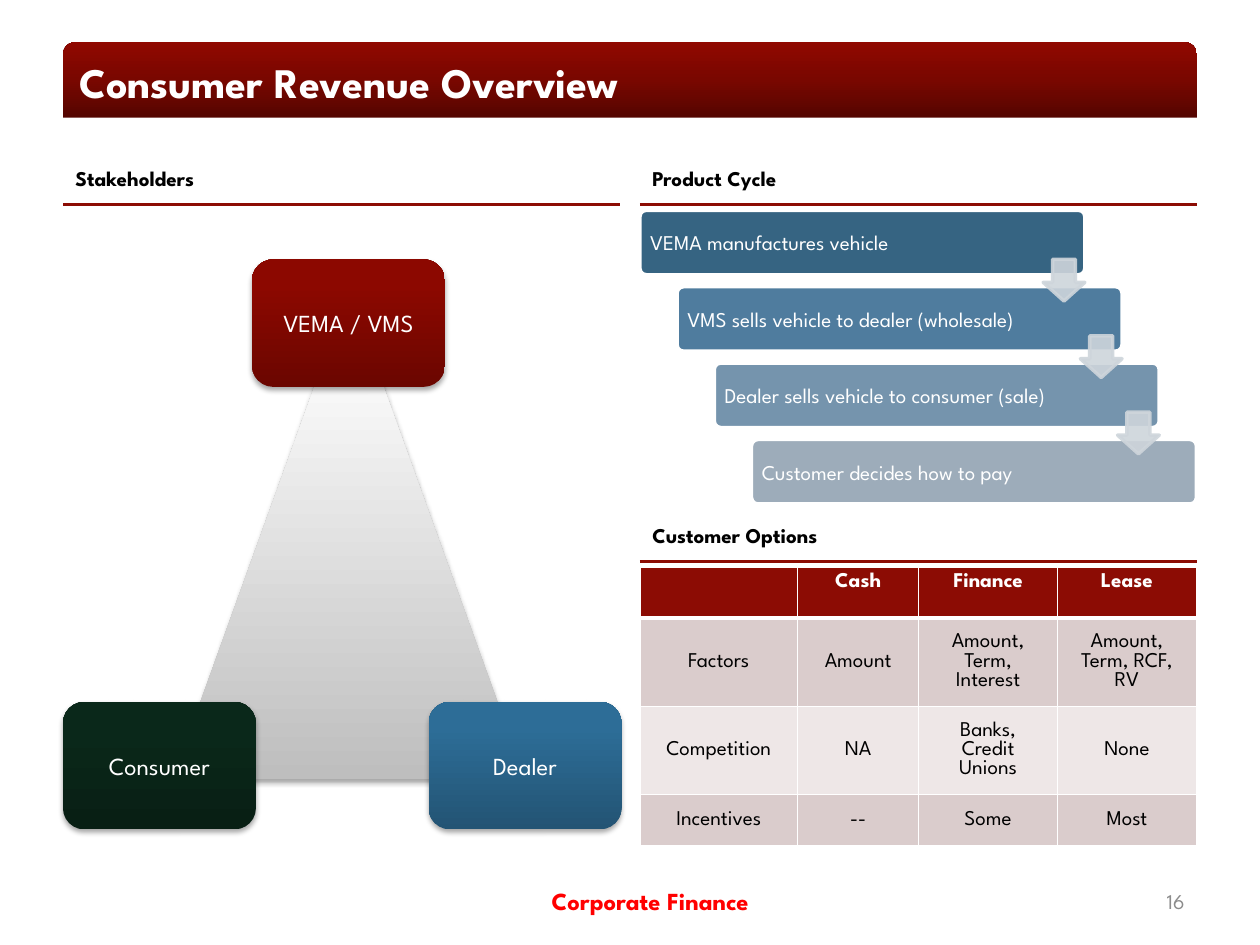
"""Build the Consumer Revenue Overview slide."""
from copy import deepcopy

from lxml import etree
from pptx import Presentation
from pptx import util as u
from pptx.dml.color import RGBColor
from pptx.enum import shapes, text
from pptx.oxml import ns

WHITE = RGBColor(0xFF, 0xFF, 0xFF)
BLACK = RGBColor(0, 0, 0)
RED = RGBColor(0xFF, 0, 0)
GRAY = RGBColor(0x8C, 0x8C, 0x8C)
MAROON = RGBColor(0x8C, 0x0C, 0x04)
ARROW = RGBColor(0xCE, 0xD5, 0xDB)
BANDS = (RGBColor(0xDA, 0xCC, 0xCC), RGBColor(0xEE, 0xE7, 0xE7))

TITLE_STOPS = ((0, "550500"), (0.5, "790700"), (1, "900800"))
TRIANGLE_STOPS = ((0, "BEBEBE"), (0.8, "F7F7F7"), (1, "F8F8F8"))
MAKER_STOPS = ((0, "6B0600"), (0.8, "8C0800"), (1, "8C0800"))
DEALER_STOPS = ((0, "235474"), (0.8, "2D6D97"), (1, "2B6E9A"))
CONSUMER_STOPS = ((0, "081F14"), (0.8, "0A281A"), (1, "0A291B"))

LEFT, RIGHT, COLUMN_WIDTH = 1.27, 12.9, 11.23
STEP_X, STEP_Y = 0.75, 1.54
STEPS = (
    ("VEMA manufactures vehicle", RGBColor(0x36, 0x64, 0x82)),
    ("VMS sells vehicle to dealer (wholesale)", RGBColor(0x4F, 0x7C, 0x9E)),
    ("Dealer sells vehicle to consumer (sale)", RGBColor(0x75, 0x94, 0xAD)),
    ("Customer decides how to pay", RGBColor(0x9D, 0xAC, 0xBA)),
)
OPTIONS = (
    ("", "Cash", "Finance", "Lease"),
    ("Factors", "Amount", "Amount, Term, Interest", "Amount, Term, RCF, RV"),
    ("Competition", "NA", "Banks, Credit Unions", "None"),
    ("Incentives", "--", "Some", "Most"),
)


def add_xml(parent, tag, **attributes):
    return etree.SubElement(parent, ns.qn(tag), attributes)


class Deck:
    """Hold the text style and the current slide."""

    font = "League Spartan"

    def __init__(self, slide):
        self.slide = slide

    def set_text(self, frame, words, size, color, bold=False, align=text.PP_ALIGN.LEFT):
        frame.word_wrap = True
        frame.vertical_anchor = text.MSO_ANCHOR.MIDDLE
        paragraph = frame.paragraphs[0]
        paragraph.text = words
        paragraph.alignment = align
        paragraph.font.name = self.font
        paragraph.font.size = u.Pt(size)
        paragraph.font.bold = bold
        paragraph.font.color.rgb = color

    def label(self, box, words, size, color, **style):
        shape = self.slide.shapes.add_textbox(*map(u.Cm, box))
        self.set_text(shape.text_frame, words, size, color, **style)

    def shape(self, kind, box, fill=None, line=None, adjustments=()):
        shape = self.slide.shapes.add_shape(kind, *map(u.Cm, box))
        shape.shadow.inherit = False
        for index, value in enumerate(adjustments):
            shape.adjustments[index] = value
        if fill is not None:
            shape.fill.solid()
            shape.fill.fore_color.rgb = fill
        if line is None:
            shape.line.fill.background()
        else:
            shape.line.color.rgb = line
            shape.line.width = u.Pt(2)
        return shape

    def gradient_shape(self, kind, box, stops, shadow=True):
        shape = self.shape(kind, box)
        shape.fill.gradient()
        shape.fill.gradient_angle = 90
        properties = shape._element.spPr
        stop_list = properties.find(".//" + ns.qn("a:gsLst"))
        stop_list.append(deepcopy(stop_list[-1]))
        for stop, (position, color) in zip(shape.fill.gradient_stops, stops):
            stop.position = position
            stop.color.rgb = RGBColor.from_string(color)
        if shadow:
            effects = properties.find(ns.qn("a:effectLst"))
            outer = add_xml(effects, "a:outerShdw", blurRad=str(u.Pt(3.1)),
                            dist=str(u.Pt(1.8)), dir="5400000", rotWithShape="0")
            add_xml(add_xml(outer, "a:srgbClr", val="000000"), "a:alpha", val="35000")
        return shape

    def stakeholder(self, left, top, words, stops):
        shape = self.gradient_shape(shapes.MSO_SHAPE.ROUNDED_RECTANGLE,
                                    (left, top, 3.89, 2.57), stops)
        self.set_text(shape.text_frame, words, 14, WHITE, align=text.PP_ALIGN.CENTER)

    def heading(self, left, top, words):
        self.label((left, top, COLUMN_WIDTH, 0.85), words, 12, BLACK, bold=True)
        line_y = top + 0.95
        rule = self.slide.shapes.add_connector(
            shapes.MSO_CONNECTOR.STRAIGHT,
            *map(u.Cm, (left, line_y, left + COLUMN_WIDTH, line_y)))
        rule.line.color.rgb = MAROON
        rule.line.width = u.Pt(1.5)
        add_xml(rule._element.spPr, "a:effectLst")

    def step(self, index, words, fill):
        box = (RIGHT + index * STEP_X, 4.24 + index * STEP_Y, 8.97, 1.3)
        shape = self.shape(shapes.MSO_SHAPE.ROUNDED_RECTANGLE, box, fill, WHITE, (0.1,))
        shape.text_frame.margin_left = u.Cm(0.17)
        self.set_text(shape.text_frame, words, 12, WHITE)

    def step_arrow(self, index):
        box = (21.03 + index * STEP_X, 5.23 + index * STEP_Y, 0.84, 0.84)
        shape = self.shape(shapes.MSO_SHAPE.DOWN_ARROW, box, ARROW, ARROW, (0.55, 0.45))
        for color in shape._element.spPr.iter(ns.qn("a:srgbClr")):
            add_xml(color, "a:alpha", val="90000")

    def table(self, left, top, widths, row_height, rows):
        frame = self.slide.shapes.add_table(
            len(rows), len(widths),
            *map(u.Cm, (left, top, sum(widths), row_height * len(rows))))
        table = frame.table
        for column, width in zip(table.columns, widths):
            column.width = u.Cm(width)
        for row_index, row in enumerate(rows):
            header = row_index == 0
            for column_index, words in enumerate(row):
                cell = table.cell(row_index, column_index)
                self.set_text(cell.text_frame, words, 12, WHITE if header else BLACK,
                              bold=header, align=text.PP_ALIGN.CENTER)
                cell.vertical_anchor = (text.MSO_ANCHOR.TOP if header
                                        else text.MSO_ANCHOR.MIDDLE)
                self.borders(cell, top=3 if row_index == 1 else 1,
                             bottom=3 if header else 1)
                cell.fill.solid()
                cell.fill.fore_color.rgb = MAROON if header else BANDS[(row_index - 1) % 2]

    def borders(self, cell, top, bottom):
        properties = cell._tc.get_or_add_tcPr()
        for side, width in (("L", 1), ("R", 1), ("T", top), ("B", bottom)):
            line = add_xml(properties, "a:ln" + side, w=str(u.Pt(width)))
            add_xml(add_xml(line, "a:solidFill"), "a:srgbClr", val=str(WHITE))


def main():
    presentation = Presentation()
    presentation.slide_width, presentation.slide_height = u.Cm(25.4), u.Cm(19.05)
    deck = Deck(presentation.slides.add_slide(presentation.slide_layouts[6]))

    title = deck.gradient_shape(shapes.MSO_SHAPE.ROUND_2_SAME_RECTANGLE,
                                (LEFT, 0.85, 22.86, 1.52), TITLE_STOPS, shadow=False)
    title.text_frame.margin_left = u.Cm(0.25)
    deck.set_text(title.text_frame, "Consumer Revenue Overview", 24, WHITE, bold=True)

    deck.heading(LEFT, 3.17, "Stakeholders")
    deck.heading(RIGHT, 3.17, "Product Cycle")
    deck.heading(RIGHT, 10.37, "Customer Options")

    for index, (words, fill) in enumerate(STEPS):
        deck.step(index, words, fill)
    for index in range(len(STEPS) - 1):
        deck.step_arrow(index)

    deck.table(RIGHT, 11.43, (3.18, 2.44, 2.8, 2.8), 1.03, OPTIONS)

    deck.gradient_shape(shapes.MSO_SHAPE.ISOSCELES_TRIANGLE,
                        (3.48, 5.87, 7.11, 9.83), TRIANGLE_STOPS)
    deck.stakeholder(5.08, 5.23, "VEMA / VMS", MAKER_STOPS)
    deck.stakeholder(8.64, 14.15, "Dealer", DEALER_STOPS)
    deck.stakeholder(LEFT, 14.15, "Consumer", CONSUMER_STOPS)

    deck.label((6.76, 17.65, 12.7, 1.02), "Corporate Finance", 14, RED,
               bold=True, align=text.PP_ALIGN.CENTER)
    deck.label((18.21, 17.65, 5.92, 1.02), "16", 12, GRAY, align=text.PP_ALIGN.RIGHT)

    presentation.save("out.pptx")


if __name__ == "__main__":
    main()
